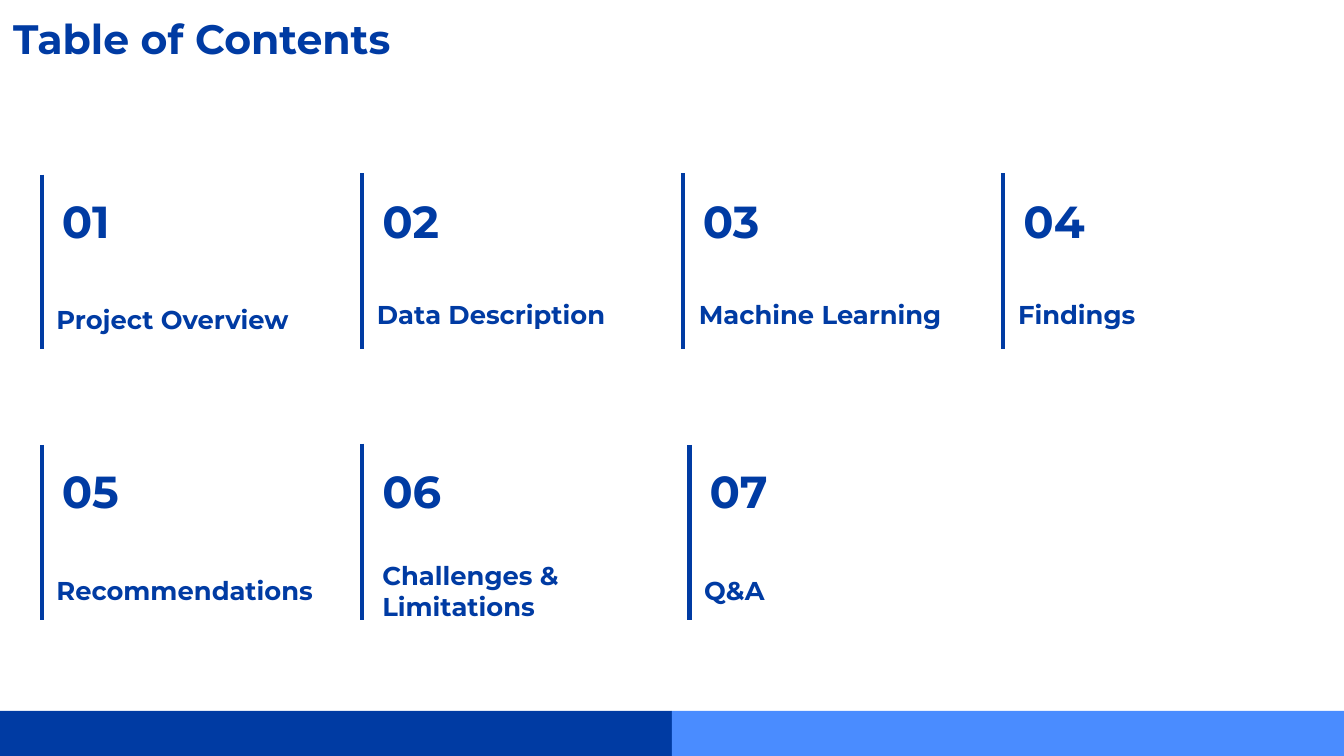
from dataclasses import dataclass

from lxml.etree import SubElement
from pptx import Presentation
from pptx.dml.color import RGBColor
from pptx.enum.shapes import MSO_CONNECTOR as Connector, MSO_SHAPE as Shape
from pptx.enum.text import MSO_ANCHOR as Anchor
from pptx.oxml.ns import qn
from pptx.slide import Slide
from pptx.util import Emu, Pt

PX = 4572
SLIDE_WIDTH, SLIDE_HEIGHT = 2000, 1125
FOOTER_HEIGHT = 67
COLUMNS = 4
FIRST_LEFT, COLUMN_PITCH = 62, 477
FIRST_BOTTOM, ROW_PITCH = 520, 402
RULE_HEIGHT = 260


@dataclass(frozen=True)
class Theme:
    font: str = "Montserrat"
    navy: RGBColor = RGBColor(0x00, 0x3B, 0xA3)
    sky: RGBColor = RGBColor(0x4A, 0x8C, 0xFF)
    title_size: float = 22
    number_size: float = 24
    label_size: float = 13.8
    rule_width: float = 2.25


@dataclass(frozen=True)
class Box:
    left: int
    top: int
    width: int
    height: int

    def emu(self) -> tuple[Emu, ...]:
        return tuple(px(value) for value in (self.left, self.top, self.width, self.height))


@dataclass(frozen=True)
class Section:
    label: str
    shift: int = 0
    rule_rise: int = 0
    label_shift: int = 0
    label_rise: int = 0


THEME = Theme()
SECTIONS = (
    Section("Project Overview", label_rise=2),
    Section("Data Description", rule_rise=2, label_rise=10),
    Section("Machine Learning", rule_rise=2, label_shift=2, label_rise=10),
    Section("Findings", rule_rise=2, label_rise=10),
    Section("Recommendations"),
    Section("Challenges & Limitations", rule_rise=2, label_shift=8),
    Section("Q&A", shift=10),
)


def px(value: int) -> Emu:
    return Emu(value * PX)


def add_bar(slide: Slide, box: Box, color: RGBColor) -> None:
    shape = slide.shapes.add_shape(Shape.RECTANGLE, *box.emu())
    shape.shadow.inherit = False
    shape.fill.solid()
    shape.fill.fore_color.rgb = color
    shape.line.fill.background()


def add_text(slide: Slide, box: Box, text: str, size: float, anchor: Anchor, inset: int) -> None:
    text_frame = slide.shapes.add_textbox(*box.emu()).text_frame
    text_frame.word_wrap = True
    text_frame.vertical_anchor = anchor
    text_frame.margin_left = text_frame.margin_right = px(inset)
    text_frame.margin_top = text_frame.margin_bottom = px(inset)
    text_frame.text = text
    font = text_frame.paragraphs[0].runs[0].font
    font.name = THEME.font
    font.size = Pt(size)
    font.bold = True
    font.color.rgb = THEME.navy


def add_rule(slide: Slide, left: int, top: int, bottom: int) -> None:
    connector = slide.shapes.add_connector(
        Connector.STRAIGHT, px(left), px(top), px(left), px(bottom)
    )
    connector.line.color.rgb = THEME.navy
    connector.line.width = Pt(THEME.rule_width)
    SubElement(connector._element.spPr, qn("a:effectLst"))


def add_section(slide: Slide, index: int, section: Section) -> None:
    row, column = divmod(index, COLUMNS)
    left = FIRST_LEFT + column * COLUMN_PITCH + section.shift
    bottom = FIRST_BOTTOM + row * ROW_PITCH
    number_box = Box(left + 8, bottom - 332, 438, 202)
    label_box = Box(left + section.label_shift, bottom - 100 - section.label_rise, 438, 114)
    add_rule(slide, left, bottom - RULE_HEIGHT - section.rule_rise, bottom)
    add_text(slide, number_box, f"{index + 1:02d}", THEME.number_size, Anchor.BOTTOM, 22)
    add_text(slide, label_box, section.label, THEME.label_size, Anchor.MIDDLE, 22)


def main() -> None:
    """Build the table of contents slide."""
    presentation = Presentation()
    presentation.slide_width = px(SLIDE_WIDTH)
    presentation.slide_height = px(SLIDE_HEIGHT)
    slide = presentation.slides.add_slide(presentation.slide_layouts[6])
    half = SLIDE_WIDTH // 2
    for index, color in enumerate((THEME.navy, THEME.sky)):
        box = Box(index * half, SLIDE_HEIGHT - FOOTER_HEIGHT, half, FOOTER_HEIGHT)
        add_bar(slide, box, color)
    title_box = Box(0, 0, 1686, 126)
    add_text(slide, title_box, "Table of Contents", THEME.title_size, Anchor.TOP, 20)
    for index, section in enumerate(SECTIONS):
        add_section(slide, index, section)
    presentation.save("out.pptx")


if __name__ == "__main__":
    main()
